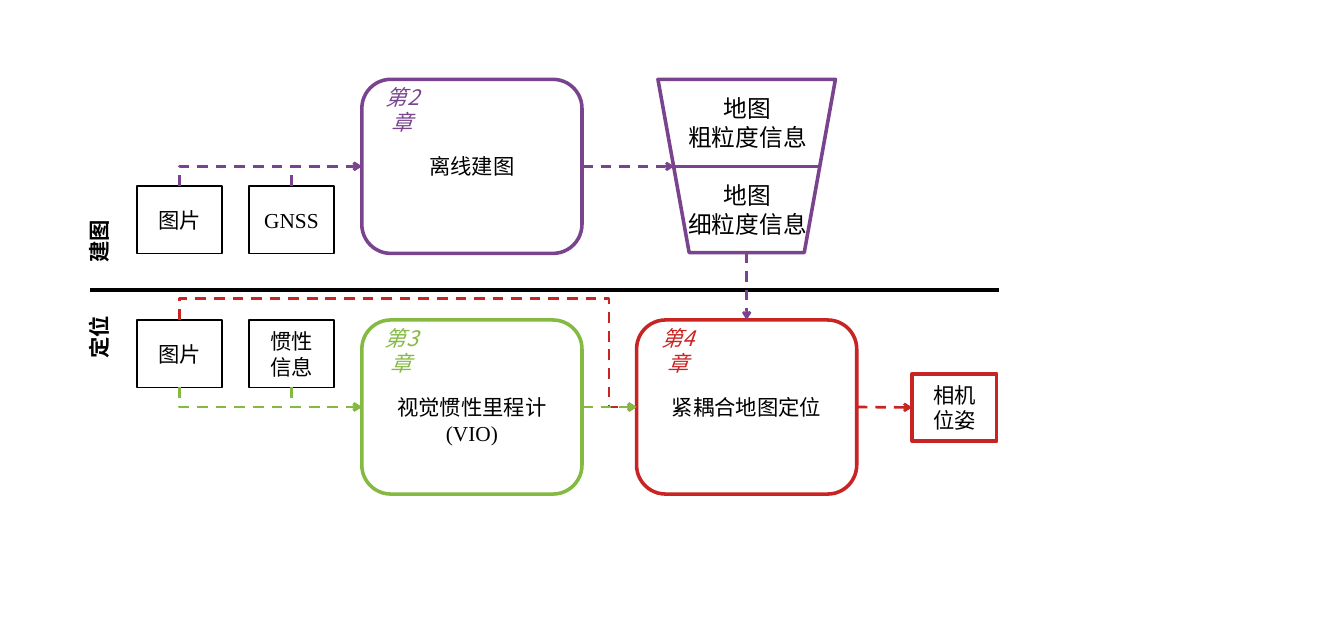
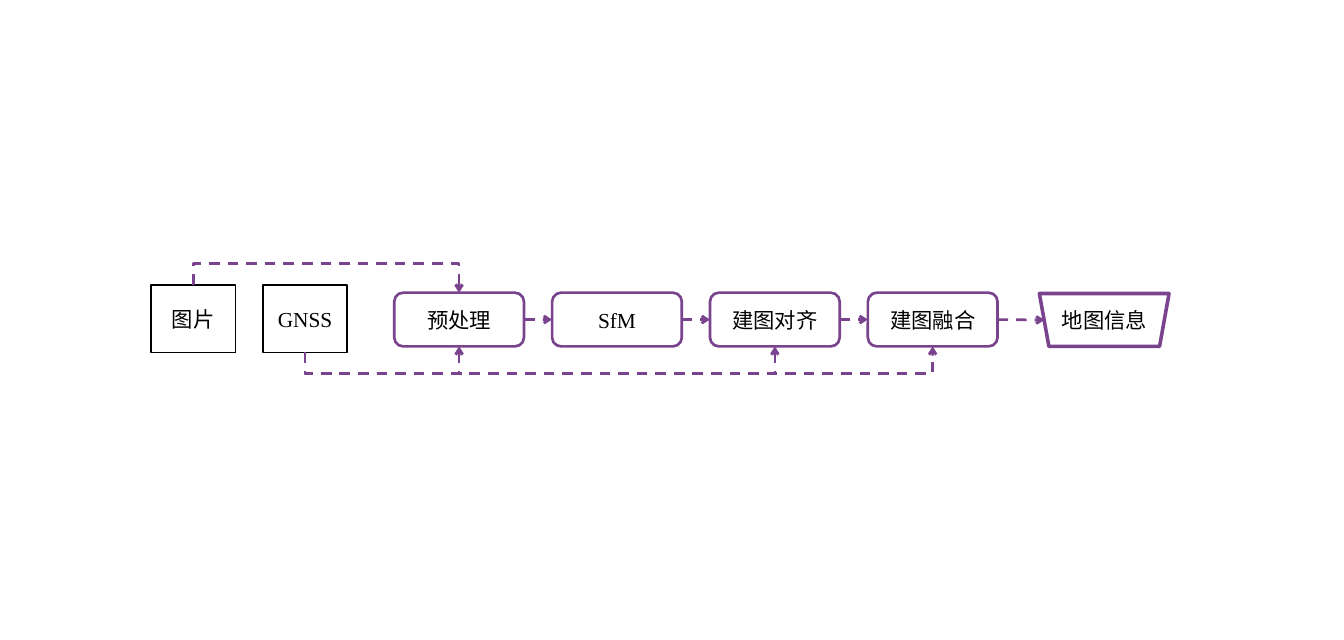
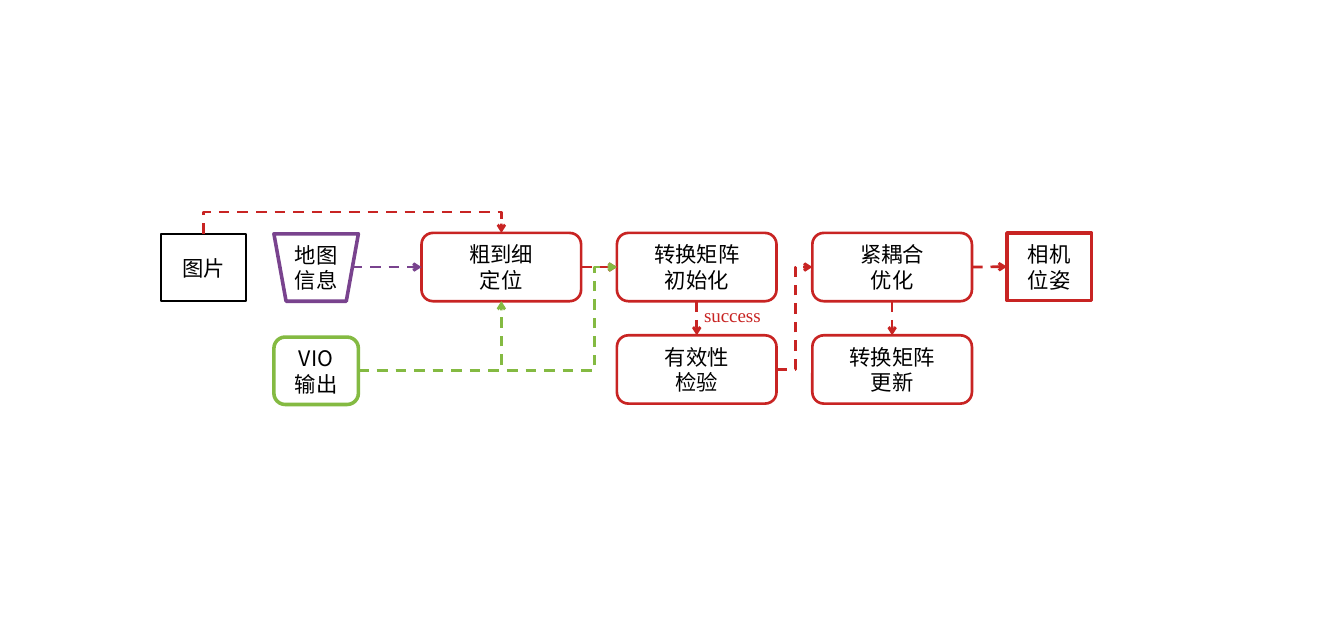
"""Three flow charts of a mapping and localisation system."""
from lxml.etree import SubElement
from pptx import Presentation
from pptx.dml.color import RGBColor
from pptx.enum.dml import MSO_LINE
from pptx.enum.shapes import MSO_CONNECTOR, MSO_SHAPE
from pptx.enum.text import MSO_ANCHOR, PP_ALIGN
from pptx.oxml.ns import qn
from pptx.util import Inches, Pt

BLACK, PURPLE, GREEN, RED = "000000", "79438E", "84BA42", "C82423"
SANS, SERIF = "Noto Sans CJK SC", "Times New Roman"
LATIN = {"GNSS", "SfM", "(VIO)", "success"}
RECT, ROUND, TRAP = MSO_SHAPE.RECTANGLE, MSO_SHAPE.ROUNDED_RECTANGLE, MSO_SHAPE.TRAPEZOID
SITES = [(0.5, 0), (0, 0.5), (0.5, 1), (1, 0.5)]
TOP, LEFT, BOTTOM, RIGHT = range(4)
CARD = (0.99, 0.79)


def box(kind, x, y, w, h, text="", edge=BLACK, wide=1.5, size=18, hue=BLACK):
    """Add an outlined shape, or a text box when kind is None."""
    area = [Inches(v) for v in (x, y, w, h)]
    if kind is None:
        shape = page.shapes.add_textbox(*area)
    else:
        shape = page.shapes.add_shape(kind, *area)
        shape.shadow.inherit = False
        shape.fill.background()
        shape.line.color.rgb = RGBColor.from_string(edge)
        shape.line.width = Pt(wide)
    if kind == TRAP:
        shape.rotation = 180
        shape.adjustments[0] = 0.18
    frame = shape.text_frame
    frame.word_wrap = True
    frame.margin_left = frame.margin_right = 0
    frame.vertical_anchor = MSO_ANCHOR.MIDDLE
    frame.text = text
    for para in frame.paragraphs:
        para.alignment = PP_ALIGN.CENTER
        for run in para.runs:
            font = run.font
            font.size = Pt(size)
            font.color.rgb = RGBColor.from_string(hue)
            font.name = SERIF if run.text in LATIN else SANS
            SubElement(run._r.get_or_add_rPr(), qn("a:ea"), typeface=font.name)
    return shape


def link(start, end, hue, *turns, wide=2.25, arrow=True):
    """Join two ends, each (shape, side) or (x, y), bending at the turns."""
    ends = []
    for node, side in (start, end):
        if isinstance(node, (int, float)):
            ends.append((Inches(node), Inches(side)))
        else:
            fx, fy = SITES[side]
            ends.append((int(node.left + node.width * fx), int(node.top + node.height * fy)))
    (x1, y1), (x2, y2) = ends
    w, h = abs(x2 - x1), abs(y2 - y1)
    bent = bool(turns) or min(w, h) > Inches(0.05)
    kind = MSO_CONNECTOR.ELBOW if bent else MSO_CONNECTOR.STRAIGHT
    wire = page.shapes.add_connector(kind, x1, y1, x2, y2)
    for (node, side), join in ((start, wire.begin_connect), (end, wire.end_connect)):
        if not isinstance(node, (int, float)):
            join(node, side)
    props = wire.element.spPr
    if bent:
        tall = start[1] in (TOP, BOTTOM)
        rise = y2 < y1
        if tall:
            w, h = h, w
        wire.left, wire.top = (x1 + x2 - w) // 2, (y1 + y2 - h) // 2
        wire.width, wire.height = w, h
        frame = props.find(qn("a:xfrm"))
        frame.set("rot", str((90 if rise else 270) * 60000 if tall else 0))
        frame.set("flipH", str(int(tall)))
        frame.set("flipV", str(int(rise)))
        geom = props.find(qn("a:prstGeom"))
        geom.set("prst", f"bentConnector{len(turns) + 2}")
        for k, turn in enumerate(turns):
            axis = int(tall) ^ (k % 2)
            part = (Inches(turn) - ends[0][axis]) / (ends[1][axis] - ends[0][axis])
            SubElement(geom.find(qn("a:avLst")), qn("a:gd"),
                       name=f"adj{k + 1}", fmla=f"val {round(part * 100000)}")
    wire.line.color.rgb = RGBColor.from_string(hue)
    wire.line.width = Pt(wide)
    if arrow:
        wire.line.dash_style = MSO_LINE.DASH
        SubElement(props.find(qn("a:ln")), qn("a:tailEnd"), type="arrow")
    SubElement(props, qn("a:effectLst"))


deck = Presentation()
deck.slide_width, deck.slide_height = Inches(15.75), Inches(7.5)
blank = deck.slide_layouts[6]

page = deck.slides.add_slide(blank)
photo = box(RECT, 1.61, 2.18, *CARD, "图片")
gnss = box(RECT, 2.92, 2.18, *CARD, "GNSS")
view = box(RECT, 1.61, 3.75, *CARD, "图片")
motion = box(RECT, 2.92, 3.75, *CARD, "惯性\n信息")
build = box(ROUND, 4.24, 0.93, 2.58, 2.04, "离线建图", PURPLE, 3)
vio = box(ROUND, 4.24, 3.75, 2.58, 2.04, "视觉惯性里程计\n(VIO)", GREEN, 3)
vio.text_frame.margin_top = Inches(0.35)
fuse = box(ROUND, 7.46, 3.75, 2.58, 2.04, "紧耦合地图定位", RED, 3)
pose = box(RECT, 10.69, 4.38, *CARD, "相机\n位姿", RED, 3)
box(TRAP, 7.71, 0.93, 2.08, 2.03, edge=PURPLE, wide=3)
box(None, 7.96, 1.05, 1.6, 0.77, "地图\n粗粒度信息", size=20)
box(None, 7.96, 2.07, 1.6, 0.77, "地图\n细粒度信息", size=20)
link((7.9, 1.95), (9.61, 1.95), PURPLE, wide=3, arrow=False)
link((1.06, 3.4), (11.71, 3.4), BLACK, wide=3, arrow=False)
for card in (photo, gnss):
    link((card, TOP), (build, LEFT), PURPLE)
for card in (view, motion):
    link((card, BOTTOM), (vio, LEFT), GREEN)
link((build, RIGHT), (7.9, 1.95), PURPLE)
link((view, TOP), (fuse, LEFT), RED, 3.5, 7.14)
link((vio, RIGHT), (fuse, LEFT), GREEN)
link((8.75, 2.96), (fuse, TOP), PURPLE)
link((fuse, RIGHT), (pose, LEFT), RED)
for y, text in ((2.63, "建图"), (3.75, "定位")):
    label = box(None, 0.61, y, 1.11, 0.4, text)
    label.rotation = 270
    label.text_frame.paragraphs[0].runs[0].font.bold = True
for x, y, text, hue in ((4.4, 0.93, "第2章", PURPLE), (4.39, 3.75, "第3章", GREEN),
                        (7.63, 3.75, "第4章", RED)):
    label = box(None, x, y, 0.63, 0.71, text, hue=hue)
    label.text_frame.paragraphs[0].runs[0].font.italic = True

page = deck.slides.add_slide(blank)
photo = box(RECT, 1.77, 3.34, *CARD, "图片")
gnss = box(RECT, 3.08, 3.34, *CARD, "GNSS")
steps = [box(ROUND, 4.62 + 1.85 * k, 3.43, 1.52, 0.63, text, PURPLE, 2.25)
         for k, text in enumerate(("预处理", "SfM", "建图对齐", "建图融合"))]
box(TRAP, 12.18, 3.44, 1.52, 0.62, edge=PURPLE, wide=3)
box(None, 12.34, 3.55, 1.21, 0.4, "地图信息")
link((photo, TOP), (steps[0], TOP), PURPLE, 3.09)
for k in (0, 2, 3):
    link((gnss, BOTTOM), (steps[k], BOTTOM), PURPLE, 4.38)
for one, two in zip(steps, steps[1:]):
    link((one, RIGHT), (two, LEFT), PURPLE)
link((steps[-1], RIGHT), (12.24, 3.75), PURPLE)

page = deck.slides.add_slide(blank)
photo = box(RECT, 1.89, 2.74, *CARD, "图片")
box(TRAP, 3.21, 2.74, *CARD, edge=PURPLE, wide=3)
box(None, 3.35, 2.78, 0.71, 0.71, "地图\n信息")
vio = box(ROUND, 3.21, 3.95, *CARD, "VIO\n输出", GREEN, 3)
coarse, setup, check, tune, renew = [
    box(ROUND, 4.94 + 2.29 * col, 2.73 + 1.2 * row, 1.87, 0.8, text, RED, 2.25)
    for col, row, text in ((0, 0, "粗到细\n定位"), (1, 0, "转换矩阵\n初始化"),
                           (1, 1, "有效性\n检验"), (2, 0, "紧耦合\n优化"),
                           (2, 1, "转换矩阵\n更新"))]
pose = box(RECT, 11.8, 2.73, *CARD, "相机\n位姿", RED, 3)
link((photo, TOP), (coarse, TOP), RED, 2.48)
link((4.12, 3.13), (coarse, LEFT), PURPLE)
link((coarse, RIGHT), (setup, LEFT), RED)
link((setup, BOTTOM), (check, TOP), RED)
link((check, RIGHT), (tune, LEFT), RED, 9.32)
link((tune, BOTTOM), (renew, TOP), RED)
link((tune, RIGHT), (pose, LEFT), RED)
link((vio, RIGHT), (coarse, BOTTOM), GREEN)
link((vio, RIGHT), (setup, LEFT), GREEN, 6.97)
note = box(None, 8.25, 3.51, 0.78, 0.37, "success", size=16, hue=RED)
note.text_frame.paragraphs[0].alignment = PP_ALIGN.LEFT

deck.save("out.pptx")
